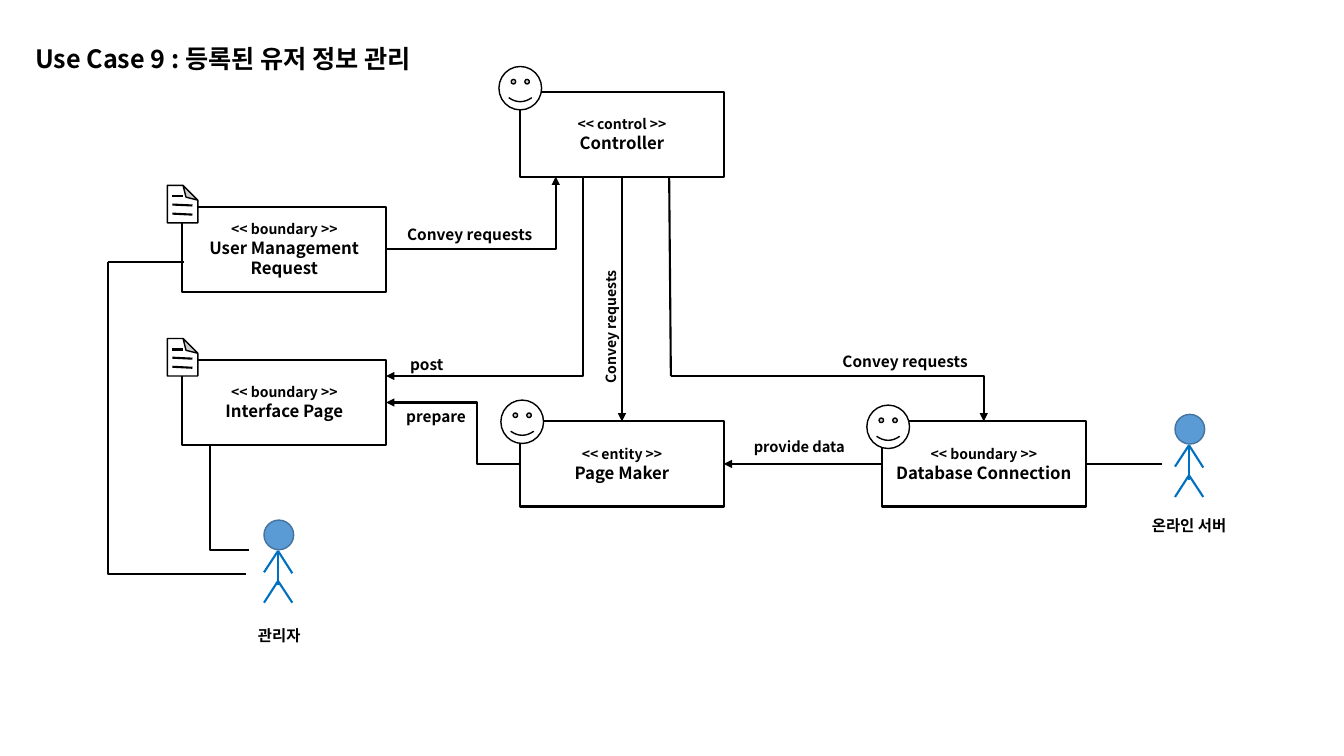
from lxml.etree import SubElement
from pptx import Presentation
from pptx.dml.color import RGBColor
from pptx.enum.shapes import MSO_CONNECTOR as CONN, MSO_SHAPE as SHAPE
from pptx.enum.text import MSO_ANCHOR as ANCHOR, PP_ALIGN as ALIGN
from pptx.oxml.ns import qn
from pptx.util import Pt

BLACK = RGBColor(0x00, 0x00, 0x00)
WHITE = RGBColor(0xFF, 0xFF, 0xFF)
HEAD_BLUE = RGBColor(0x5B, 0x9B, 0xD5)
HEAD_EDGE = RGBColor(0x43, 0x73, 0x9E)
LIMB_BLUE = RGBColor(0x00, 0x70, 0xC0)

BOX_W, BOX_H = 145.5, 60.8
LEFT_X, MID_X, RIGHT_X = 130.3, 371.5, 630
LOWER_Y = 301


def set_guide(sp, name, value):
    """Set a preset adjustment, in 1/100000."""
    geom = sp._element.spPr.find(qn("a:prstGeom"))
    guides = geom.find(qn("a:avLst"))
    if guides is None:
        guides = SubElement(geom, qn("a:avLst"))
    gd = SubElement(guides, qn("a:gd"))
    gd.set("name", name)
    gd.set("fmla", f"val {value}")


class Diagram:
    font = "Noto Sans CJK KR"
    line_width = 1.5

    def __init__(self, slide):
        self.shapes = slide.shapes

    def style(self, p, size):
        for r in p.runs:
            r.font.name, r.font.size, r.font.bold = self.font, Pt(size), True
            r.font.color.rgb = BLACK
            SubElement(r.font._element, qn("a:ea")).set("typeface", self.font)

    def shape(self, kind, x, y, w, h, fill=WHITE, edge=BLACK, width=1, to=None):
        sp = (to or self.shapes).add_shape(kind, Pt(x), Pt(y), Pt(w), Pt(h))
        sp.shadow.inherit = False
        sp.fill.solid()
        sp.fill.fore_color.rgb = fill
        sp.line.color.rgb = edge
        sp.line.width = Pt(width)
        return sp

    def box(self, x, y, stereotype, *names):
        sp = self.shape(SHAPE.RECTANGLE, x, y, BOX_W, BOX_H, width=self.line_width)
        tf = sp.text_frame
        tf.word_wrap = True
        tf.vertical_anchor = ANCHOR.MIDDLE
        tf.text = "\n".join((f"<< {stereotype} >>",) + names)
        for i, p in enumerate(tf.paragraphs):
            p.alignment = ALIGN.CENTER
            self.style(p, 12 if i else 10)
        return sp

    def label(self, text, x, y, w, h, size=11, turn=0, fill=None, to=None):
        sp = (to or self.shapes).add_textbox(Pt(x), Pt(y), Pt(w), Pt(h))
        sp.rotation = turn
        if fill is not None:
            sp.fill.solid()
            sp.fill.fore_color.rgb = fill
        tf = sp.text_frame
        tf.word_wrap = True
        tf.text = text
        p = tf.paragraphs[0]
        p.alignment = ALIGN.JUSTIFY
        p.line_spacing = 1.07
        self.style(p, size)

    def title(self, text, x, y, w, h):
        sp = self.shapes.add_textbox(Pt(x), Pt(y), Pt(w), Pt(h))
        tf = sp.text_frame
        tf.word_wrap = True
        tf.text = text
        self.style(tf.paragraphs[0], 18)

    def line(self, x1, y1, x2, y2, arrow=None, kind=CONN.STRAIGHT,
             color=BLACK, to=None):
        """Draw a connector; arrow is "headEnd" (start) or "tailEnd" (end)."""
        cxn = (to or self.shapes).add_connector(kind, Pt(x1), Pt(y1), Pt(x2), Pt(y2))
        cxn.line.color.rgb = color
        cxn.line.width = Pt(self.line_width)
        if arrow:
            ln = cxn._element.spPr.find(qn("a:ln"))
            SubElement(ln, qn("a:" + arrow)).set("type", "triangle")
        SubElement(cxn._element.spPr, qn("a:effectLst"))
        return cxn

    def elbow(self, x1, y1, x2, y2, arrow=None, bend=100000):
        """Run sideways for the bend's share of the width, then up or down."""
        set_guide(self.line(x1, y1, x2, y2, arrow, CONN.ELBOW), "adj1", bend)

    def join(self, start, start_side, end, end_side):
        cxn = self.line(0, 0, 0, 0, "tailEnd")
        cxn.begin_connect(start, start_side)
        cxn.end_connect(end, end_side)

    def page_icon(self, x, y):
        group = self.shapes.add_group_shape().shapes
        page = self.shape(SHAPE.FOLDED_CORNER, x, y, 21.8, 26.8, to=group)
        set_guide(page, "adj", 48400)
        page._element.spPr.find(qn("a:xfrm")).set("flipV", "1")
        for y1, x2, y2 in ((20.2, 18, 20.9), (13.7, 18, 14.4), (7.9, 11.5, 7.9)):
            self.line(x + 3.6, y + y1, x + x2, y + y2, to=group)

    def actor(self, x, y, name, dx, dy, w):
        group = self.shapes.add_group_shape().shapes
        self.label(name, x + dx, y + dy, w, 28.8, fill=WHITE, to=group)
        self.shape(SHAPE.OVAL, x, y, 21.2, 21.2, HEAD_BLUE, HEAD_EDGE, to=group)
        for y1, x2, y2 in ((22, 10, 46.6), (22, 0, 37.3), (22, 20.2, 38),
                           (43.5, 0, 59), (43.5, 20.2, 59)):
            self.line(x + 10, y + y1, x + x2, y + y2, color=LIMB_BLUE, to=group)


def main():
    prs = Presentation()
    prs.slide_width, prs.slide_height = Pt(960), Pt(540)
    d = Diagram(prs.slides.add_slide(prs.slide_layouts[6]))

    for y, names in ((257, ("Interface Page",)),
                     (147.6, ("User Management", "Request"))):
        d.box(LEFT_X, y, "boundary", *names)
        d.page_icon(LEFT_X - 10.8, y - 15.2)
    controller = d.box(MID_X, 65.4, "control", "Controller")
    page_maker = d.box(MID_X, LOWER_Y, "entity", "Page Maker")
    database = d.box(RIGHT_X, LOWER_Y, "boundary", "Database Connection")

    d.actor(188.6, 371.5, "관리자", -11.5, 71.3, 65.5)
    d.actor(839.3, 296, "온라인 서버", -23.6, 68.3, 74.2)

    # Actors to the boundary boxes
    d.elbow(178, 393, 150.2, 318)
    d.elbow(175.5, 409.8, 77.2, 187)
    d.line(131.5, 187, 77.2, 187)
    d.line(830, 331.4, 775.5, 331.4).end_connect(database, 3)

    # Messages between the boxes
    d.elbow(275.8, 178, 397, 126.2, "tailEnd")
    d.elbow(275.8, 268.6, 416.2, 126.2, "headEnd")
    d.join(controller, 2, page_maker, 0)
    d.elbow(MID_X, 331.4, 275.8, 287.5, "tailEnd", bend=31900)
    d.elbow(479.2, 268.6, 702.7, LOWER_Y, "tailEnd")
    d.line(478, 126.2, 479.2, 268.6)
    d.join(database, 1, page_maker, 3)

    d.label("Convey requests", 385.2, 219.6, 102.2, 20.2, 10, turn=270)
    d.label("Convey requests", 594.7, 247, 110.9, 27.4)
    d.label("provide data", 531.4, 308.2, 88.6, 27.4, 10.5)
    d.label("prepare", 283, 286.6, 61.2, 26.6)
    d.label("post", 285.8, 249.1, 61.2, 26.6)
    d.label("Convey requests", 283.7, 156.2, 110.9, 27.4)

    for x, y in ((357.8, 285.8), (356.4, 47.5), (619.2, 289.4)):
        d.shape(SHAPE.SMILEY_FACE, x, y, 30.5, 31)

    d.title("Use Case 9 : 등록된 유저 정보 관리", 18, 27.4, 319, 28.8)
    prs.save("out.pptx")


if __name__ == "__main__":
    main()
